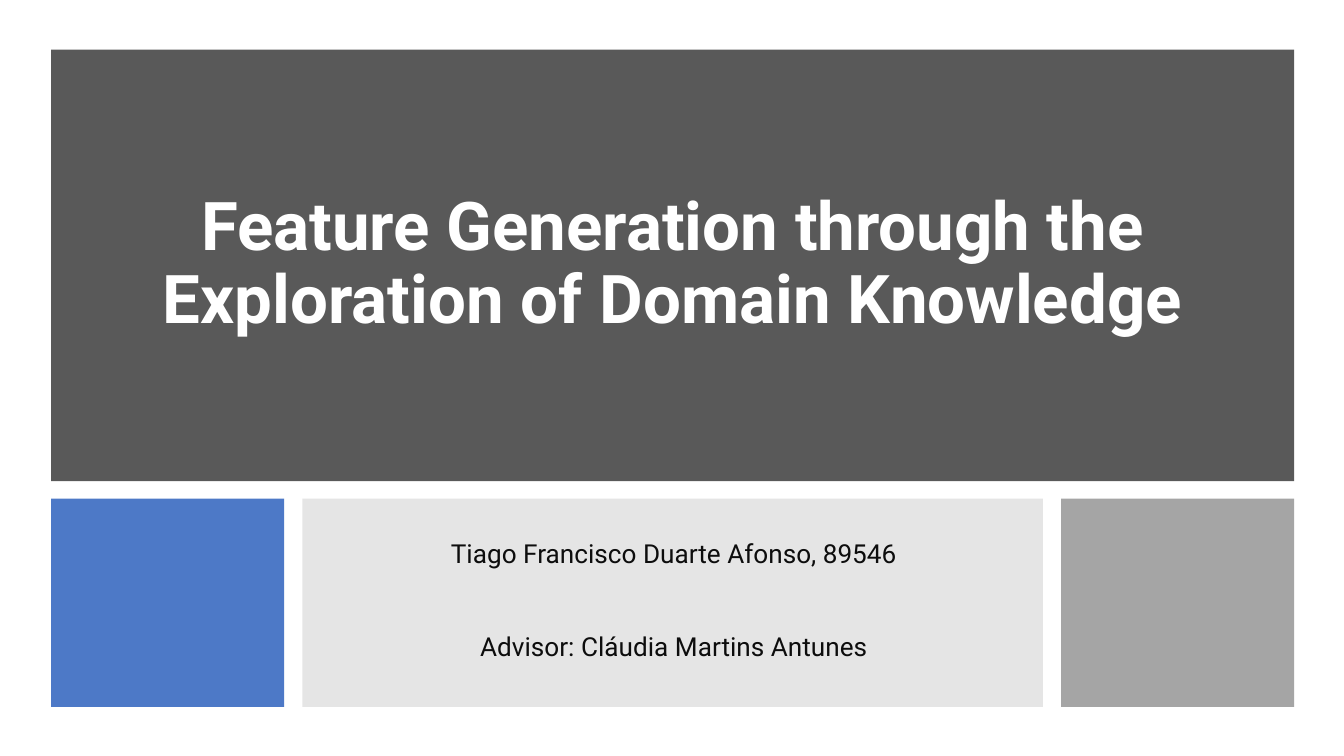
from dataclasses import dataclass

from lxml import etree
from pptx import Presentation
from pptx import util as u
from pptx.dml.color import RGBColor
from pptx.enum import shapes, text
from pptx.oxml.ns import qn


@dataclass(frozen=True)
class Theme:
    font: str = "Roboto"
    dark: str = "595959"
    blue: str = "4472C4"
    mid: str = "7F7F7F"
    silver: str = "A5A5A5"
    white: str = "FFFFFF"
    ink: str = "0D0D0D"
    title_size: int = 36
    body_size: int = 14
    leading: float = 0.9


class Cover:
    """Draws cover elements on a grid of cells one tenth of an inch wide."""

    CELL = 0.1

    def __init__(self, deck, theme):
        self.theme = theme
        self.page = deck.slides.add_slide(deck.slide_layouts[0])

    def cells(self, *counts):
        return [u.Inches(count * self.CELL) for count in counts]

    def panel(self, col, row, cols, rows, color, opacity=100):
        box = self.page.shapes.add_shape(
            shapes.MSO_SHAPE.RECTANGLE, *self.cells(col, row, cols, rows))
        box.shadow.inherit = False
        box.line.fill.background()
        box.fill.solid()
        box.fill.fore_color.rgb = RGBColor.from_string(color)
        if opacity < 100:
            tint = box.element.spPr.find(qn("a:solidFill"))[0]
            etree.SubElement(tint, qn("a:alpha"), val=str(opacity * 1000))

    def words(self, index, place, lines, size, color, bold=False, gap=0):
        box = self.page.placeholders[index]
        box.left, box.top, box.width, box.height = self.cells(*place)
        box.element.getparent().append(box.element)
        frame = box.text_frame
        frame.word_wrap = True
        frame.auto_size = text.MSO_AUTO_SIZE.NONE
        frame.vertical_anchor = text.MSO_ANCHOR.MIDDLE
        for number, line in enumerate(lines):
            para = frame.add_paragraph() if number else frame.paragraphs[0]
            para.alignment = text.PP_ALIGN.CENTER
            para.line_spacing = self.theme.leading
            para.space_before = u.Pt(gap if number else 0)
            span = para.add_run()
            span.text = line
            span.font.name = self.theme.font
            span.font.size = u.Pt(size)
            span.font.bold = bold
            span.font.color.rgb = RGBColor.from_string(color)


def main():
    deck = Presentation()
    deck.slide_width = u.Inches(10)
    deck.slide_height = deck.slide_width * 9 // 16
    theme = Theme()
    cover = Cover(deck, theme)

    edge, full, side, gap = 3.8, 92.5, 17.35, 1.35
    top, band, strip = 3.7, 32.1, 15.5
    lower = top + band + 1.3
    middle = full - 2 * (side + gap)

    cover.panel(edge, top, full, band, theme.dark)
    cover.panel(edge, lower, side, strip, theme.blue, 95)
    cover.panel(edge + side + gap, lower, middle, strip, theme.mid, 20)
    cover.panel(edge + full - side, lower, side, strip, theme.silver)

    cover.words(0, (9, 9, 82.1, 21.5),
                ["Feature Generation through the Exploration of Domain Knowledge"],
                theme.title_size, theme.white, bold=True)
    cover.words(1, (26.5, 39.7, 47.3, 10.1),
                ["Tiago Francisco Duarte Afonso, 89546",
                 "Advisor: Cláudia Martins Antunes"],
                theme.body_size, theme.ink, gap=35)
    deck.save("out.pptx")


if __name__ == "__main__":
    main()
